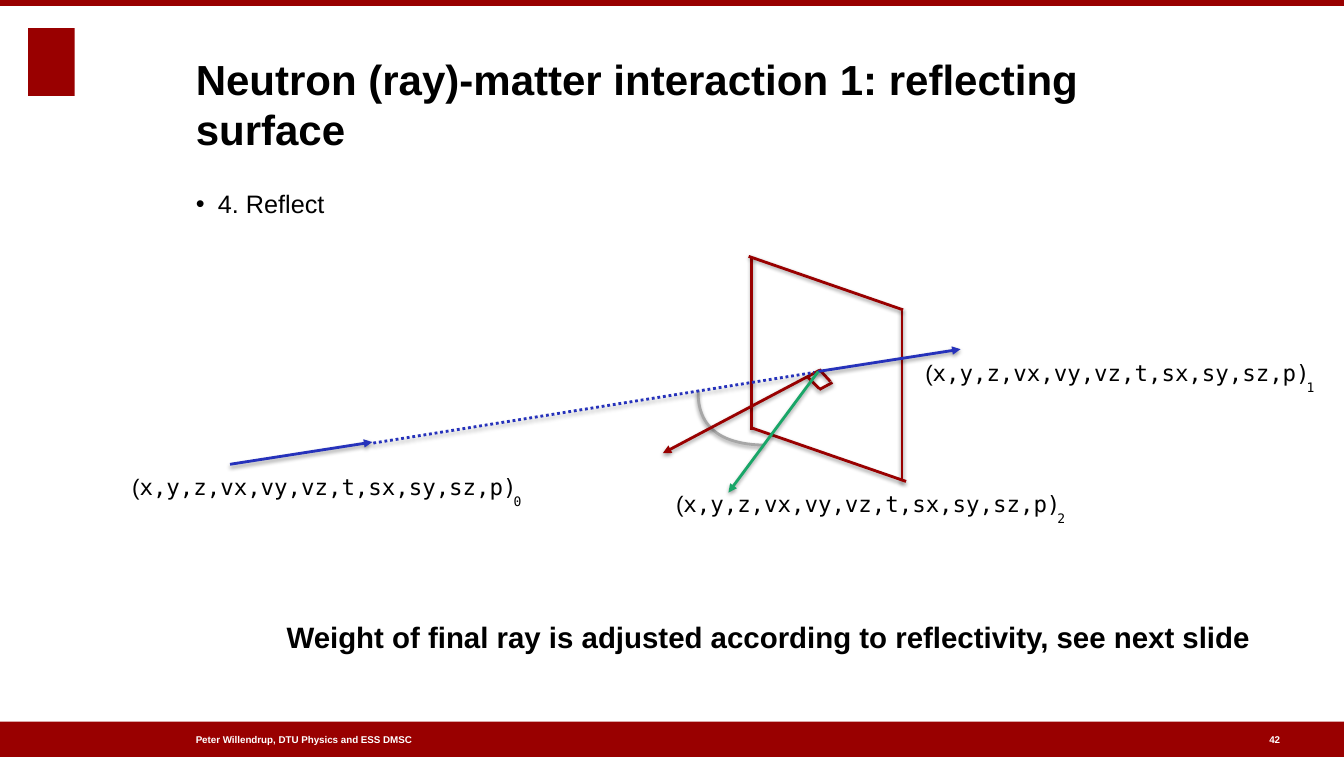
from lxml import etree
from pptx import Presentation
from pptx.dml.color import RGBColor
from pptx.enum.dml import MSO_LINE_DASH_STYLE as DASH
from pptx.enum.shapes import MSO_CONNECTOR as CONN, MSO_SHAPE as SHAPE
from pptx.enum.text import MSO_ANCHOR as ANCHOR, MSO_AUTO_SIZE as FIT, PP_ALIGN as ALIGN
from pptx.oxml import parse_xml
from pptx.oxml.ns import nsdecls, qn
from pptx.util import Emu, Pt

PX = 9144  # 100 px to the inch
RED, BLUE, GREEN, GREY = "990000", "2632BB", "19A668", "A7A7A7"
BLACK, WHITE = "000000", "FFFFFF"
MONO = "DejaVu Sans Mono"


def px(n):
    return Emu(round(n * PX))


def rgb(hex_string):
    return RGBColor.from_string(hex_string)


class Deck:
    font = {"name": "Arial", "size": Pt(16), "bold": False}
    line_width = Pt(2)
    shadow = (f'<a:effectLst {nsdecls("a")}><a:outerShdw blurRad="{Pt(3)}" dist="{Pt(1.6)}" '
              f'dir="5400000" rotWithShape="0"><a:srgbClr val="{BLACK}">'
              '<a:alpha val="38000"/></a:srgbClr></a:outerShdw></a:effectLst>')

    def __init__(self, width, height):
        self.prs = Presentation()
        self.prs.slide_width, self.prs.slide_height = px(width), px(height)
        self.s = self.prs.slides.add_slide(self.prs.slide_layouts[1])

    def run(self, p, text, color=BLACK, **style):
        r = p.add_run()
        r.text = text
        for key, value in {**self.font, **style}.items():
            setattr(r.font, key, value)
        r.font.color.rgb = rgb(color)
        return r

    def frame(self, sp, anchor=ANCHOR.TOP, wrap=True):
        tf = sp.text_frame
        values = {"margin_left": 0, "margin_top": 0, "margin_right": 0, "margin_bottom": 0,
                  "auto_size": FIT.NONE, "vertical_anchor": anchor, "word_wrap": wrap}
        for key, value in values.items():
            setattr(tf, key, value)
        p = tf.paragraphs[0]
        p.alignment, p.space_before = ALIGN.LEFT, Pt(0)
        return p

    def placeholder(self, idx, x, y, w, h, anchor=ANCHOR.TOP):
        sp = self.s.placeholders[idx]
        sp.left, sp.top, sp.width, sp.height = map(px, (x, y, w, h))
        return self.frame(sp, anchor)

    def bullet(self, p, indent):
        pPr = p._p.get_or_add_pPr()
        pPr.set("marL", str(px(indent)))
        pPr.set("indent", str(-px(indent)))
        etree.SubElement(pPr, qn("a:buFont"), typeface="Arial")
        etree.SubElement(pPr, qn("a:buChar"), char="•")

    def text_box(self, x, y, w, h, anchor=ANCHOR.TOP, wrap=True):
        sp = self.s.shapes.add_textbox(*map(px, (x, y, w, h)))
        return self.frame(sp, anchor, wrap)

    def bar(self, x, y, w, h):
        sp = self.s.shapes.add_shape(SHAPE.RECTANGLE, *map(px, (x, y, w, h)))
        sp.shadow.inherit = False
        sp.fill.solid()
        sp.fill.fore_color.rgb = rgb(RED)
        sp.line.fill.background()

    def stroke(self, sp, color):
        sp.line.color.rgb = rgb(color)
        sp.line.width = self.line_width
        sp._element.spPr.append(parse_xml(self.shadow))

    def line(self, start, end, color=RED, arrow=False, dash=None):
        sp = self.s.shapes.add_connector(CONN.STRAIGHT, *map(px, (*start, *end)))
        self.stroke(sp, color)
        if dash:
            sp.line.dash_style = dash
        if arrow:
            ln = sp._element.spPr.find(qn("a:ln"))
            etree.SubElement(ln, qn("a:tailEnd"), type="triangle")

    def curve(self, controls, color, steps=24):
        points = []
        for i in range(steps + 1):
            t = i / steps
            weights = ((1 - t) ** 3, 3 * t * (1 - t) ** 2, 3 * t * t * (1 - t), t ** 3)
            points.append(tuple(px(sum(w * c[axis] for w, c in zip(weights, controls)))
                                for axis in (0, 1)))
        builder = self.s.shapes.build_freeform(*points[0])
        builder.add_line_segments(points[1:], close=False)
        sp = builder.convert_to_shape()
        sp.fill.background()
        self.stroke(sp, color)

    def ray_state(self, x, y, index):
        p = self.text_box(x, y, 455, 65)
        self.run(p, "(")
        self.run(p, "x,y,z,vx,vy,vz,t,sx,sy,sz,p)", name=MONO)
        p = self.text_box(x + 378, y + 9, 14, 26, wrap=False)
        r = self.run(p, index, name=MONO)
        r._r.get_or_add_rPr().set("baseline", "-6000")


def main():
    d = Deck(1332, 750)

    # Title and list
    p = d.placeholder(0, 194, 47, 1018, 106, ANCHOR.BOTTOM)
    d.run(p, "Neutron (ray)-matter interaction 1: reflecting surface", size=Pt(30), bold=True)
    p = d.placeholder(1, 194, 187, 1018, 497)
    d.bullet(p, 22)
    d.run(p, "4. Reflect", size=Pt(18))

    # Bars and emblem block
    d.bar(28, 28, 46, 67)
    d.bar(0, 0, 1332, 6)
    d.bar(0, 715, 1332, 35)

    # Footer
    for x, w, text in ((194, 372, "Peter Willendrup, DTU Physics and ESS DMSC"),
                       (1258, 14, "42")):
        p = d.text_box(x, 726, w, 14, ANCHOR.MIDDLE, wrap=False)
        d.run(p, text, WHITE, size=Pt(7), bold=True)

    # Angle arc
    d.curve(((756, 441), (713, 440), (691, 422), (692, 387)), GREY)

    # Reflecting surface
    for start, end in (((745, 426), (745, 255)), ((894, 477), (894, 306)),
                       ((895, 307), (742, 254)), ((898, 477), (745, 424))):
        d.line(start, end)

    # Surface normal and right-angle mark
    d.line((812, 367), (657, 449), arrow=True)
    for start, end in (((825, 379), (812, 386)), ((823, 378), (812, 366)),
                       ((812, 385), (800, 373))):
        d.line(start, end)

    # Incoming, transmitted and reflected rays
    hit = (811, 368)
    d.line((228, 460), (369, 438), BLUE, arrow=True)
    d.line((370, 439), (807, 369), BLUE, dash=DASH.ROUND_DOT)
    d.line(hit, (952, 346), BLUE, arrow=True)
    d.line(hit, (722, 488), GREEN, arrow=True)

    # Ray states
    for x, y, index in ((131, 469, "0"), (917, 356, "1"), (670, 486, "2")):
        d.ray_state(x, y, index)

    # Closing remark
    p = d.text_box(284, 613, 957, 32, wrap=False)
    d.run(p, "Weight of final ray is adjusted according to reflectivity, see next slide",
          size=Pt(21), bold=True)

    d.prs.save("out.pptx")


if __name__ == "__main__":
    main()
